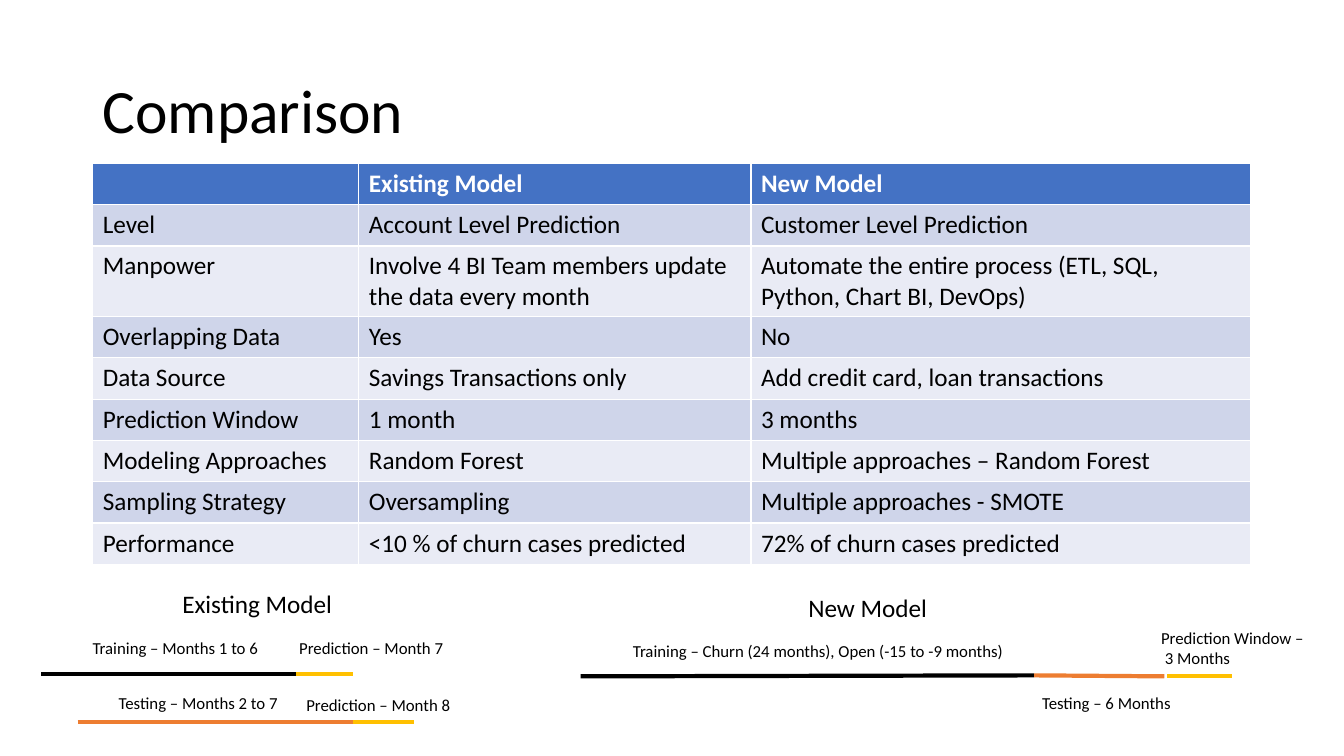
from lxml import etree
from pptx import Presentation
from pptx.dml.color import RGBColor
from pptx.enum.shapes import MSO_CONNECTOR
from pptx.enum.text import MSO_ANCHOR
from pptx.oxml.ns import qn
from pptx.util import Inches, Pt

STRAIGHT = MSO_CONNECTOR.STRAIGHT
TOP, MIDDLE = MSO_ANCHOR.TOP, MSO_ANCHOR.MIDDLE

FONT = "Calibri"
BLACK, WHITE = "000000", "FFFFFF"
HEADER_FILL = "4472C4"
BAND_FILLS = ("CFD5EA", "E9EBF5")
TRAINING, TESTING, PREDICTION = BLACK, "ED7D31", "FFC000"

SLIDE_SIZE = (133.33, 75)  # in grid units of a tenth of an inch
ROW_HEIGHT = 4.1
COLUMN_WIDTHS = (26.4, 38.9, 49.6)

COMPARISON = [
    ("", "Existing Model", "New Model"),
    ("Level", "Account Level Prediction", "Customer Level Prediction"),
    ("Manpower", "Involve 4 BI Team members update the data every month",
     "Automate the entire process (ETL, SQL, Python, Chart BI, DevOps)"),
    ("Overlapping Data", "Yes", "No"),
    ("Data Source", "Savings Transactions only", "Add credit card, loan transactions"),
    ("Prediction Window", "1 month", "3 months"),
    ("Modeling Approaches", "Random Forest", "Multiple approaches – Random Forest"),
    ("Sampling Strategy", "Oversampling", "Multiple approaches - SMOTE"),
    ("Performance", "<10 % of churn cases predicted", "72% of churn cases predicted"),
]

# Phases: start x, start y, end x, end y, colour. Labels: x, y, width, text.
EXISTING_PHASES = [
    (0, 9, 25.3, 9, TRAINING),
    (25.3, 9, 30.9, 9, PREDICTION),
    (3.6, 13.7, 30.9, 13.7, TESTING),
    (30.9, 13.7, 37, 13.7, PREDICTION),
]
EXISTING_LABELS = [
    (4.1, 4.9, 26.8, "Training – Months 1 to 6"),
    (24.6, 4.9, 20.3, "Prediction – Month 7"),
    (6.7, 10.3, 18.6, "Testing – Months 2 to 7"),
    (25.3, 10.5, 16.5, "Prediction – Month 8"),
]
NEW_PHASES = [
    (0, 8.8, 45, 8.7, TRAINING),
    (45, 8.7, 57.9, 8.8, TESTING),
    (58.2, 8.8, 64.6, 8.8, PREDICTION),
]
NEW_LABELS = [
    (4.2, 4.8, 42.8, "Training – Churn (24 months), Open (-15 to -9 months)"),
    (44.8, 9.9, 15, "Testing – 6 Months"),
    (56.6, 3.5, 17.1, "Prediction Window –\n 3 Months"),
]


def grid(units):
    return Inches(units / 10)


def rgb(value):
    return RGBColor.from_string(value)


def write(frame, text, size=18, color=BLACK, bold=False, anchor=TOP, spacing=1.0):
    frame.word_wrap = True
    frame.vertical_anchor = anchor
    frame.text = text
    for paragraph in frame.paragraphs:
        paragraph.line_spacing = spacing
        font = paragraph.font
        font.name, font.size, font.bold = FONT, Pt(size), bold
        font.color.rgb = rgb(color)


def add_text(slide, box, text, **text_format):
    frame = slide.shapes.add_textbox(*map(grid, box)).text_frame
    write(frame, text, **text_format)


def add_phase(slide, start, end, color):
    phase = slide.shapes.add_connector(STRAIGHT, *map(grid, (*start, *end)))
    phase.line.color.rgb = rgb(color)
    phase.line.width = Pt(3)
    etree.SubElement(phase._element.spPr, qn("a:effectLst"))


def add_comparison(slide, left, top):
    """Fill the model table; its default style supplies the white borders."""
    size = (sum(COLUMN_WIDTHS), ROW_HEIGHT * len(COMPARISON))
    table = slide.shapes.add_table(
        len(COMPARISON), len(COLUMN_WIDTHS), *map(grid, (left, top, *size))).table
    for column, width in zip(table.columns, COLUMN_WIDTHS):
        column.width = grid(width)
    for number, entries in enumerate(COMPARISON):
        header = number == 0
        fill = HEADER_FILL if header else BAND_FILLS[(number - 1) % 2]
        table.rows[number].height = grid(ROW_HEIGHT)
        for cell, entry in zip(table.rows[number].cells, entries):
            cell.fill.solid()
            cell.fill.fore_color.rgb = rgb(fill)
            write(cell.text_frame, entry, color=WHITE if header else BLACK, bold=header)


def add_timeline(slide, left, top, heading, heading_offset, phases, labels):
    add_text(slide, (left + heading_offset, top, 35.1, 4.1), heading)
    for x1, y1, x2, y2, color in phases:
        add_phase(slide, (left + x1, top + y1), (left + x2, top + y2), color)
    for x, y, width, text in labels:
        height = 3 + 2 * text.count("\n")
        add_text(slide, (left + x, top + y, width, height), text, size=12)


def main():
    deck = Presentation()
    deck.slide_width, deck.slide_height = map(grid, SLIDE_SIZE)
    slide = deck.slides.add_slide(deck.slide_layouts[6])
    add_text(slide, (9.2, 4, 115, 14.5), "Comparison", size=44, anchor=MIDDLE, spacing=0.9)
    add_comparison(slide, 9.2, 16.2)
    add_timeline(slide, 4.1, 57.9, "Existing Model", 13, EXISTING_PHASES, EXISTING_LABELS)
    add_timeline(slide, 57.6, 58.3, "New Model", 21.6, NEW_PHASES, NEW_LABELS)
    deck.save("out.pptx")


if __name__ == "__main__":
    main()
